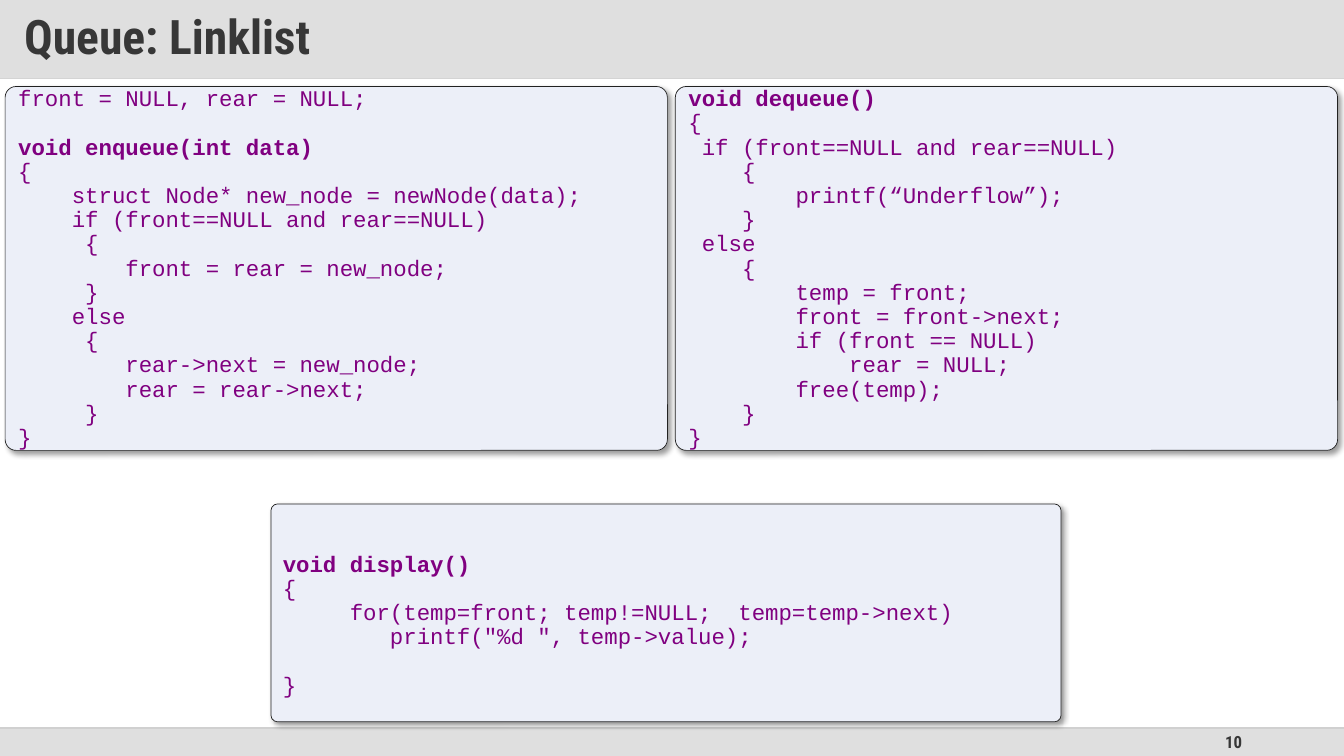
from lxml import etree
from pptx import Presentation
from pptx.dml.color import RGBColor
from pptx.enum.shapes import MSO_CONNECTOR, MSO_SHAPE
from pptx.enum.text import MSO_ANCHOR, PP_ALIGN
from pptx.oxml.ns import qn
from pptx.util import Cm, Pt

RECT, ROUND = MSO_SHAPE.RECTANGLE, MSO_SHAPE.ROUNDED_RECTANGLE
LINE, MIDDLE = MSO_CONNECTOR.STRAIGHT, MSO_ANCHOR.MIDDLE
LEFT, RIGHT = PP_ALIGN.LEFT, PP_ALIGN.RIGHT

TITLE = "Queue: Linklist"
PAGE = "10"

# An empty entry stands for one line of space.
ENQUEUE = [
    "front = NULL, rear = NULL;",
    "",
    "void enqueue(int data)",
    "{",
    "    struct Node* new_node = newNode(data);",
    "    if (front==NULL and rear==NULL)",
    "     {",
    "        front = rear = new_node;",
    "     }",
    "    else",
    "     {",
    "        rear->next = new_node;",
    "        rear = rear->next;",
    "     }",
    "}",
]
DEQUEUE = [
    "void dequeue()",
    "{",
    " if (front==NULL and rear==NULL)",
    "    {",
    "        printf(“Underflow”);",
    "    }",
    " else",
    "    {",
    "        temp = front;",
    "        front = front->next;",
    "        if (front == NULL)",
    "            rear = NULL;",
    "        free(temp);",
    "    }",
    "}",
]
DISPLAY = [
    "",
    "void display()",
    "{",
    "     for(temp=front; temp!=NULL;  temp=temp->next)",
    "        printf(\"%d \", temp->value);",
    "",
    "}",
]

COLORS = {"band": "C0C0C0", "foot": "DFDFDF", "head": "373737", "panel": "ECEFF8",
          "edge": "212121", "code": "800080", "top": "D9D9D9", "base": "BFBFBF",
          "shade": "000000"}
HEAD = {"name": "Roboto Condensed", "size": Pt(34), "bold": True}
NUMBER = {**HEAD, "size": Pt(12)}
CODE = {"name": "Courier New", "size": Pt(16)}

WIDE, HIGH = 33.87, 19.05
BAR, FOOT = 1.98, 18.34
PAIR = (2.18, 16.69, 9.17)  # top, width, height of the upper panels
EDGE, STEP = 0.13, 16.89
PANELS = [(ENQUEUE, EDGE, *PAIR), (DEQUEUE, EDGE + STEP, *PAIR),
          (DISPLAY, 6.83, 12.7, 19.91, 5.49)]
PITCH = Pt(17.3)


def rgb(name):
    return RGBColor.from_string(COLORS[name])


def fade(shape, percent):
    """Make the shape's colour partly transparent."""
    for color in shape._element.spPr.iter(qn("a:srgbClr")):
        etree.SubElement(color, qn("a:alpha"), val=str(percent * 1000))


def shade(shape):
    """Give the shape a soft shadow towards the lower right."""
    effects = shape._element.spPr.find(qn("a:effectLst"))
    outer = etree.SubElement(effects, qn("a:outerShdw"), blurRad=str(Pt(4)),
                             dist=str(Pt(3)), dir="2700000", algn="tl", rotWithShape="0")
    color = etree.SubElement(outer, qn("a:srgbClr"), val=COLORS["shade"])
    etree.SubElement(color, qn("a:alpha"), val="40000")


def add_box(slide, kind, place, fill):
    box = slide.shapes.add_shape(kind, *map(Cm, place))
    box.shadow.inherit = False
    box.fill.solid()
    box.fill.fore_color.rgb = rgb(fill)
    box.line.fill.background()
    return box


def add_rule(slide, y, color):
    rule = slide.shapes.add_connector(LINE, 0, Cm(y), Cm(WIDE), Cm(y))
    rule.line.color.rgb = rgb(color)
    rule.line.width = Pt(1)
    etree.SubElement(rule._element.spPr, qn("a:effectLst"))
    return rule


def write(shape, lines, font, color, align=LEFT, pitch=0.9):
    frame = shape.text_frame
    frame.word_wrap = True
    frame.vertical_anchor = MIDDLE
    para, gap = None, False
    for text in lines:
        if not text:
            gap = True
            continue
        if para is None:
            para = frame.paragraphs[0]
            if gap:
                frame.margin_top += PITCH
        else:
            para = frame.add_paragraph()
            if gap:
                para.space_before = PITCH
        gap = False
        para.alignment, para.line_spacing = align, pitch
        run = para.add_run()
        run.text = text
        run.font.color.rgb = rgb(color)
        for key, value in {"bold": text.startswith("void "), **font}.items():
            setattr(run.font, key, value)


def add_panel(slide, lines, *place):
    panel = add_box(slide, ROUND, place, "panel")
    panel.adjustments[0] = 0.03
    panel.line.color.rgb = rgb("edge")
    panel.line.width = Pt(0.5)
    shade(panel)
    write(panel, lines, CODE, "code", pitch=PITCH)


def main():
    deck = Presentation()
    deck.slide_width, deck.slide_height = Cm(WIDE), Cm(HIGH)
    slide = deck.slides.add_slide(deck.slide_layouts[6])

    add_box(slide, RECT, (0, FOOT, WIDE, HIGH - FOOT), "foot")
    number = slide.shapes.add_textbox(*map(Cm, (23.93, FOOT, 7.62, HIGH - FOOT)))
    write(number, [PAGE], NUMBER, "head", RIGHT, 1.0)
    add_rule(slide, BAR, "top")
    fade(add_rule(slide, FOOT, "base"), 70)

    title = add_box(slide, RECT, (0, 0, WIDE, BAR), "band")
    fade(title, 50)
    for side, gap in {"left": 0.61, "right": 0.61, "top": 0.3, "bottom": 0.3}.items():
        setattr(title.text_frame, "margin_" + side, Cm(gap))
    write(title, [TITLE], HEAD, "head")

    for panel in PANELS:
        add_panel(slide, *panel)
    deck.save("out.pptx")


if __name__ == "__main__":
    main()
